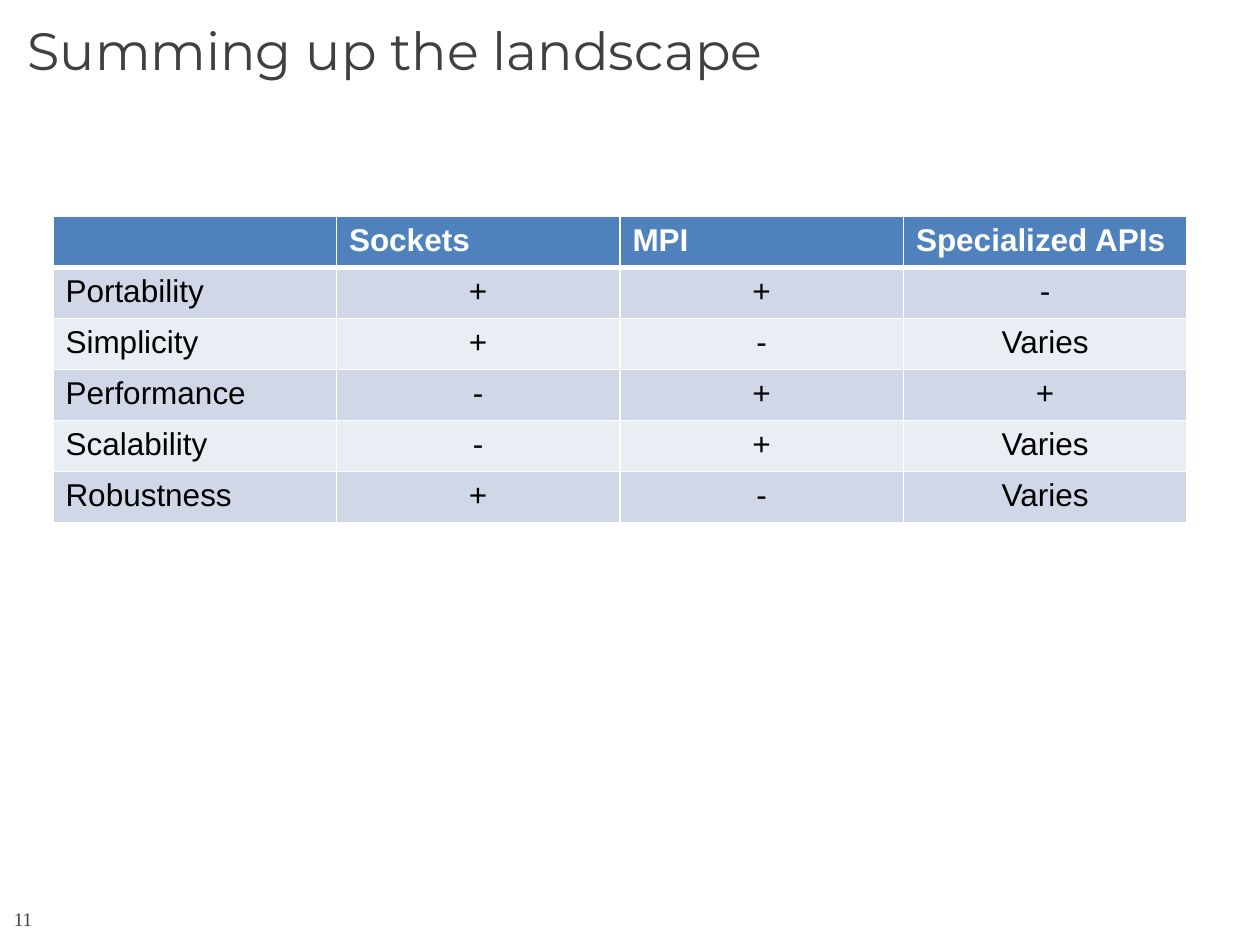
"""Build a slide that sums up networking interfaces in one table."""
import dataclasses

import lxml.etree
import pptx
import pptx.dml.color
import pptx.enum.text
import pptx.oxml.ns
import pptx.util

Inches = pptx.util.Inches
Pt = pptx.util.Pt
RGB = pptx.dml.color.RGBColor.from_string
ALIGN = pptx.enum.text.PP_ALIGN

ROWS = [
    ("", "Sockets", "MPI", "Specialized APIs"),
    ("Portability", "+", "+", "-"),
    ("Simplicity", "+", "-", "Varies"),
    ("Performance", "-", "+", "+"),
    ("Scalability", "-", "+", "Varies"),
    ("Robustness", "+", "-", "Varies"),
]


@dataclasses.dataclass(frozen=True)
class Theme:
    """Hold the colours, fonts and type sizes."""

    ink: str = "404040"
    black: str = "000000"
    white: str = "FFFFFF"
    head: str = "4F81BD"
    bands: tuple = ("E9EDF4", "D0D8E8")
    title_font: str = "Montserrat"
    table_font: str = "Arial"
    page_font: str = "Times New Roman"
    title_size: int = 30
    table_size: int = 18
    page_size: int = 11
    rule: int = 1
    head_rule: int = 3


class Maker:
    """Draw styled elements on the current slide."""

    def __init__(self, slide, theme):
        """Keep the slide and its theme."""
        self.slide = slide
        self.theme = theme

    def font(self, para, name, size, color, bold=False):
        """Style all the text of a paragraph."""
        font = para.font
        font.name, font.size, font.bold = name, Pt(size), bold
        font.color.rgb = RGB(color)

    def text(self, words, box, name, size, space, inset=(0, 0)):
        """Add a line of text in a wrapped box."""
        shape = self.slide.shapes.add_textbox(*map(Inches, box))
        frame = shape.text_frame
        frame.word_wrap = True
        frame.margin_left = frame.margin_right = Inches(inset[0])
        frame.margin_top = frame.margin_bottom = Inches(inset[1])
        para = frame.paragraphs[0]
        para.text = words
        para.line_spacing = space
        self.font(para, name, size, self.theme.ink)

    def edge(self, cell, side, width):
        """Add a white border to one side of a cell."""
        qn = pptx.oxml.ns.qn
        line = lxml.etree.SubElement(
            cell._tc.get_or_add_tcPr(), qn(f"a:ln{side}"), w=str(Pt(width))
        )
        fill = lxml.etree.SubElement(line, qn("a:solidFill"))
        lxml.etree.SubElement(fill, qn("a:srgbClr"), val=self.theme.white)

    def cell(self, cell, words, row, col):
        """Fill and style a cell by its place in the table."""
        look = self.theme
        head = row == 0
        para = cell.text_frame.paragraphs[0]
        para.text = words
        para.alignment = ALIGN.LEFT if head or col == 0 else ALIGN.CENTER
        color = look.white if head else look.black
        self.font(para, look.table_font, look.table_size, color, head)
        for side in "LRTB":
            thick = (row, side) in ((0, "B"), (1, "T"))
            self.edge(cell, side, look.head_rule if thick else look.rule)
        cell.fill.solid()
        cell.fill.fore_color.rgb = RGB(look.head if head else look.bands[row % 2])

    def table(self, rows, box):
        """Add a table with equal rows and columns."""
        shape = self.slide.shapes.add_table(
            len(rows), len(rows[0]), *map(Inches, box)
        )
        for row, items in enumerate(rows):
            for col, words in enumerate(items):
                self.cell(shape.table.cell(row, col), words, row, col)


def main():
    """Build and save the slide."""
    deck = pptx.Presentation()
    deck.slide_width, deck.slide_height = Inches(10), Inches(7.5)
    theme = Theme()
    maker = Maker(deck.slides.add_slide(deck.slide_layouts[6]), theme)
    maker.text("11", (0.11, 7.22, 0.5, 0.17), theme.page_font, theme.page_size, 0.9)
    maker.text(
        "Summing up the landscape", (0.12, 0.17, 9, 0.53),
        theme.title_font, theme.title_size, 0.85, (0.1, 0.05),
    )
    maker.table(ROWS, (0.42, 1.72, 9, 2.43))
    deck.save("out.pptx")


if __name__ == "__main__":
    main()
